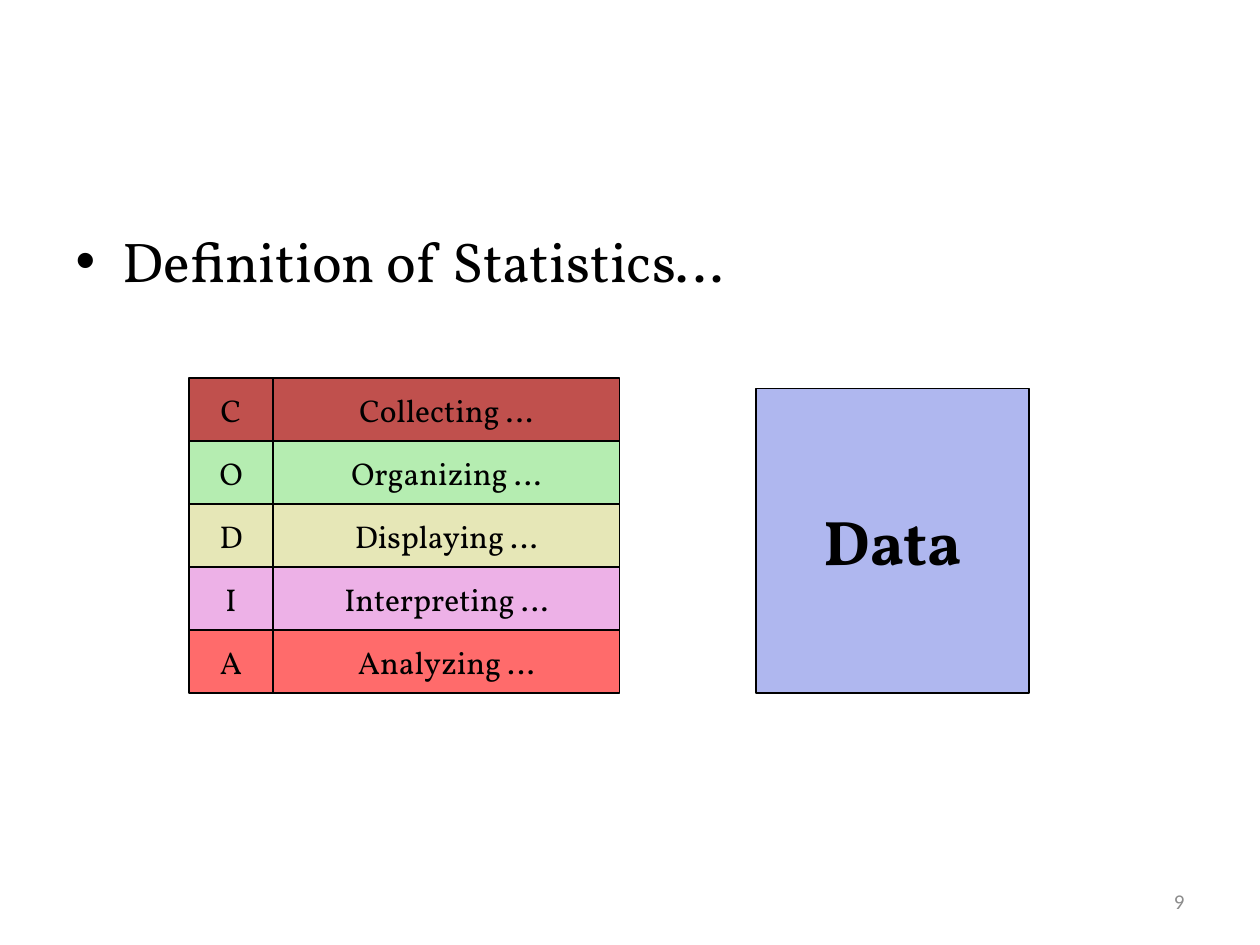
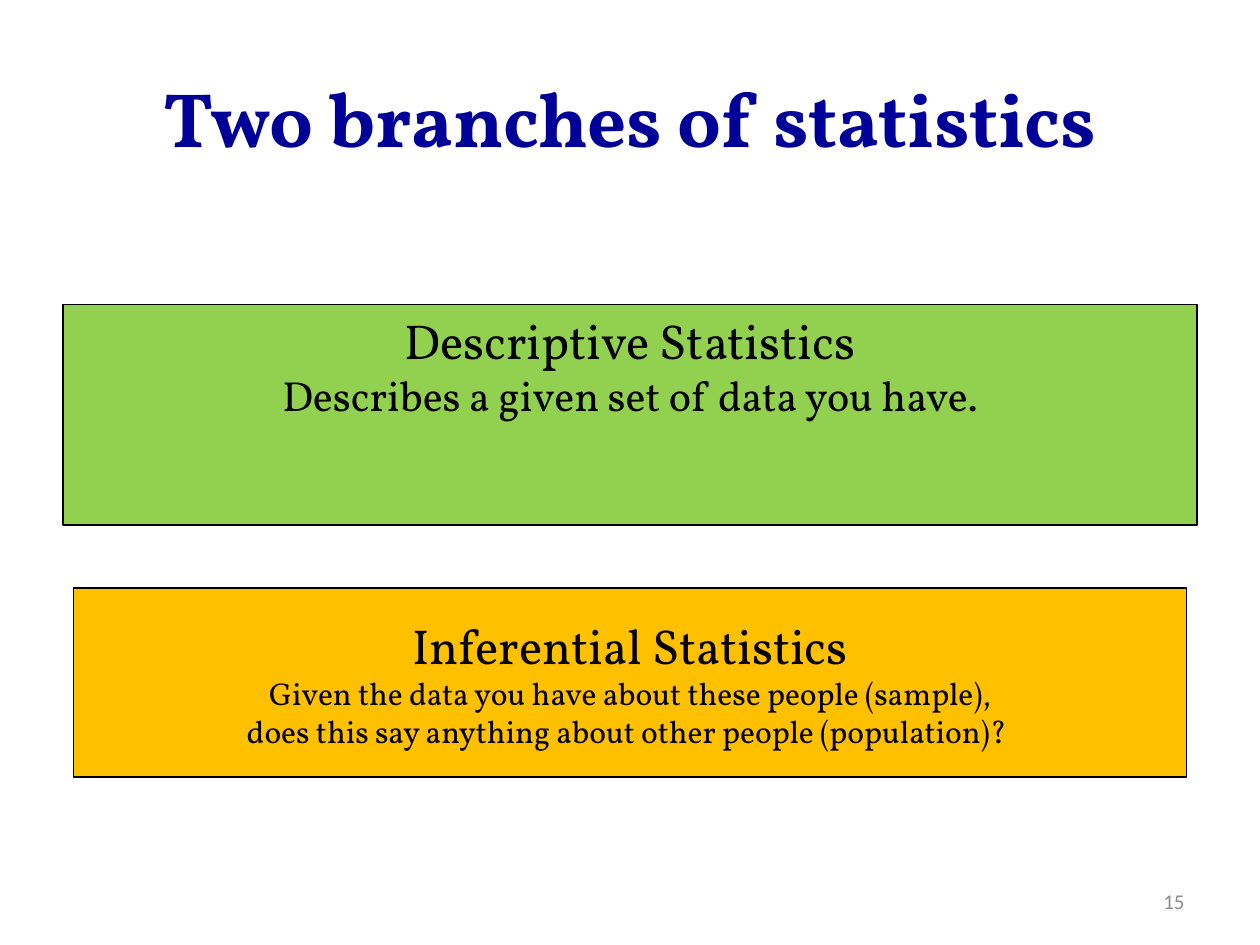
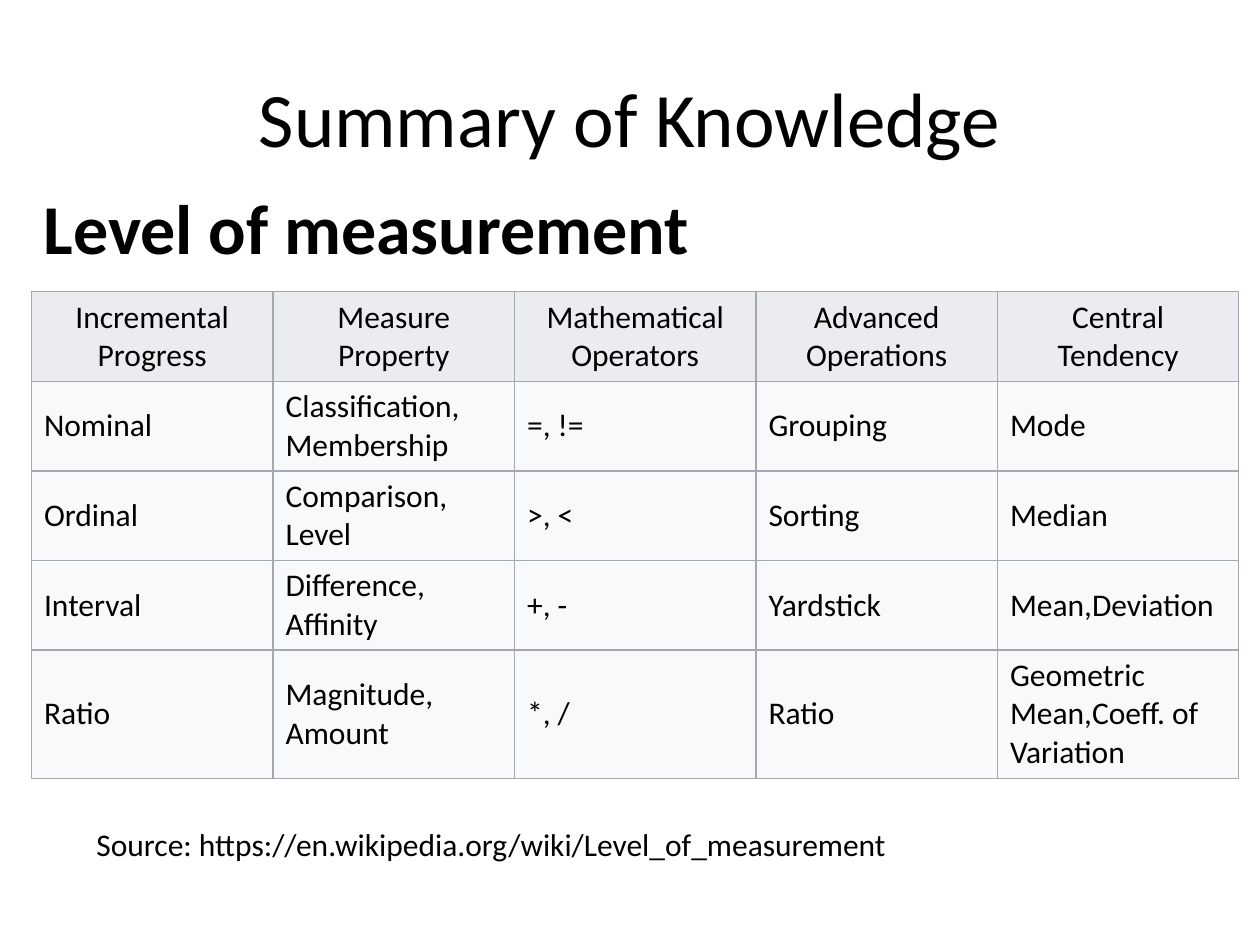
from lxml.etree import SubElement as Sub
from pptx import Presentation
from pptx.dml.color import RGBColor as Rgb
from pptx.enum.shapes import MSO_SHAPE as Shape
from pptx.enum.text import MSO_ANCHOR as Anchor, MSO_AUTO_SIZE as Fit, PP_ALIGN as Align
from pptx.oxml.ns import qn
from pptx.util import Inches, Pt

HUE = {
    "ink": "000000", "navy": "000099", "gray": "8C8C8C",
    "brick": "C0504D", "mint": "B5EDB1", "sand": "E6E7B7",
    "pink": "EDB1E7", "coral": "FF6B6B", "sky": "AFB7EF",
    "green": "92D050", "gold": "FFC000",
    "head": "EAECF0", "cell": "F8F9FA", "rule": "A2A9B1",
}
SERIF, SANS = "Vollkorn", "Calibri"
UNIT = Inches(1) // 12
TITLE = (6, 3.6, 108, 15)
FOOT = (86, 83.4, 28, 4.8)


def place(shape, area, fill=None):
    shape.left, shape.top, shape.width, shape.height = [int(n * UNIT) for n in area]
    if fill:
        shape.fill.solid()
        shape.fill.fore_color.rgb = Rgb.from_string(HUE[fill])
        shape.line.color.rgb = Rgb.from_string(HUE["ink"])
        shape.line.width = Pt(0.75)
        shape.shadow.inherit = False
    return shape.text_frame


def write(frame, lines, face=SERIF, hue="ink", bold=False, align=Align.CENTER):
    for i, (text, size) in enumerate(lines):
        para = frame.add_paragraph() if i else frame.paragraphs[0]
        para.alignment = align
        run = para.add_run()
        run.text = text
        font = run.font
        font.name, font.size, font.bold = face, Pt(size), bold
        font.color.rgb = Rgb.from_string(HUE[hue])


deck = Presentation()
deck.slide_width, deck.slide_height = Inches(10), Inches(7.5)
intro, split, recap = [deck.slides.add_slide(deck.slide_layouts[n]) for n in (1, 1, 5)]

for slide, text, face, hue, bold in [
    (split, "Two branches of statistics", SERIF, "navy", True),
    (recap, "Summary of Knowledge", SANS, "ink", False),
]:
    frame = place(slide.shapes.title, TITLE)
    frame.auto_size = Fit.NONE
    write(frame, [(text, 44)], face, hue, bold)

for slide, num in [(intro, "9"), (split, "15")]:
    frame = place(slide.shapes.add_textbox(0, 0, 0, 0), FOOT)
    frame.word_wrap = True
    frame.vertical_anchor = Anchor.MIDDLE
    write(frame, [(num, 12)], SANS, "gray", align=Align.RIGHT)

title = intro.shapes.title.element
title.getparent().remove(title)
frame = place(intro.placeholders[1], (6, 21, 108, 59.4))
write(frame, [("Definition of Statistics…", 32)], align=Align.LEFT)

tiles = []
steps = [("Collecting", "brick"), ("Organizing", "mint"), ("Displaying", "sand"),
         ("Interpreting", "pink"), ("Analyzing", "coral")]
for i, (word, fill) in enumerate(steps):
    top = 36 + 6 * i
    tiles.append((intro, (18, top, 8, 6), fill, [(word[0], 18)], False))
    tiles.append((intro, (26, top, 33, 6), fill, [(word + " …", 18)], False))
tiles.append((intro, (72, 37, 26, 29), "sky", [("Data", 36)], True))
tiles.append((split, (7, 56, 106, 18), "gold", [
    ("Inferential Statistics", 28),
    ("Given the data you have about these people (sample),", 18),
    ("does this say anything about other people (population)? ", 18),
], False))
for slide, area, fill, lines, bold in tiles:
    frame = place(slide.shapes.add_shape(Shape.RECTANGLE, 0, 0, 0, 0), area, fill)
    frame.word_wrap = False
    frame.vertical_anchor = Anchor.MIDDLE
    write(frame, lines, bold=bold)

frame = place(split.placeholders[1], (6, 29, 108, 21), "green")
frame.auto_size = Fit.NONE
write(frame, [("Descriptive Statistics", 28),
              ("Describes a given set of data you have.", 24)])
for para in frame.paragraphs:
    para.space_before = Pt(0)
    props = para._p.get_or_add_pPr()
    props.set("marL", "0")
    props.set("indent", "0")
    Sub(props, qn("a:buNone"))

rows = [
    ["Incremental\nProgress", "Measure Property", "Mathematical\nOperators",
     "Advanced\nOperations", "Central\nTendency"],
    ["Nominal", "Classification, Membership", "=, !=", "Grouping", "Mode"],
    ["Ordinal", "Comparison, Level", ">, <", "Sorting", "Median"],
    ["Interval", "Difference, Affinity", "+, -", "Yardstick", "Mean,Deviation"],
    ["Ratio", "Magnitude, Amount", "*, /", "Ratio", "Geometric Mean,Coeff. of Variation"],
]
table = recap.shapes.add_table(
    5, 5, 3 * UNIT, int(27.8 * UNIT), 115 * UNIT, int(46.2 * UNIT)).table
table.first_row = table.horz_banding = False
for r, texts in enumerate(rows):
    table.rows[r].height = int((12.2 if r == 4 else 8.5) * UNIT)
    for c, text in enumerate(texts):
        cell = table.cell(r, c)
        cell.vertical_anchor = Anchor.MIDDLE
        write(cell.text_frame, [(line, 18) for line in text.split("\n")], SANS,
              align=Align.LEFT if r else Align.CENTER)
        props = cell._tc.get_or_add_tcPr()
        for side in "LRTB":
            edge = Sub(props, qn("a:ln" + side), w=str(Pt(0.75)))
            Sub(Sub(edge, qn("a:solidFill")), qn("a:srgbClr"), val=HUE["rule"])
        cell.fill.solid()
        cell.fill.fore_color.rgb = Rgb.from_string(HUE["cell" if r else "head"])

for area, text, size, bold in [
    ((8, 78, 110, 8.5), "Source: https://en.wikipedia.org/wiki/Level_of_measurement", 18, False),
    ((3, 17, 68, 9.2), "Level of measurement", 40, True),
]:
    frame = place(recap.shapes.add_textbox(0, 0, 0, 0), area)
    frame.word_wrap = True
    write(frame, [(text, size)], SANS, bold=bold, align=Align.LEFT)

deck.save("out.pptx")
